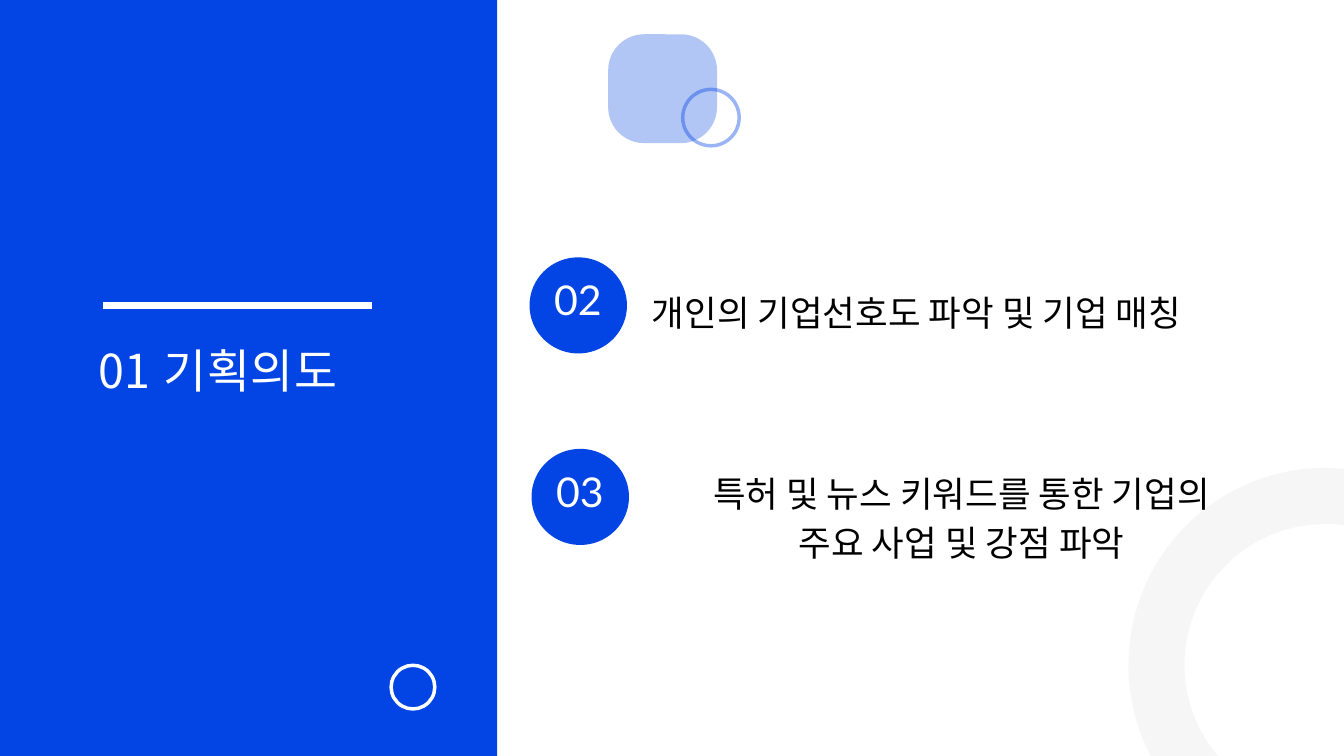
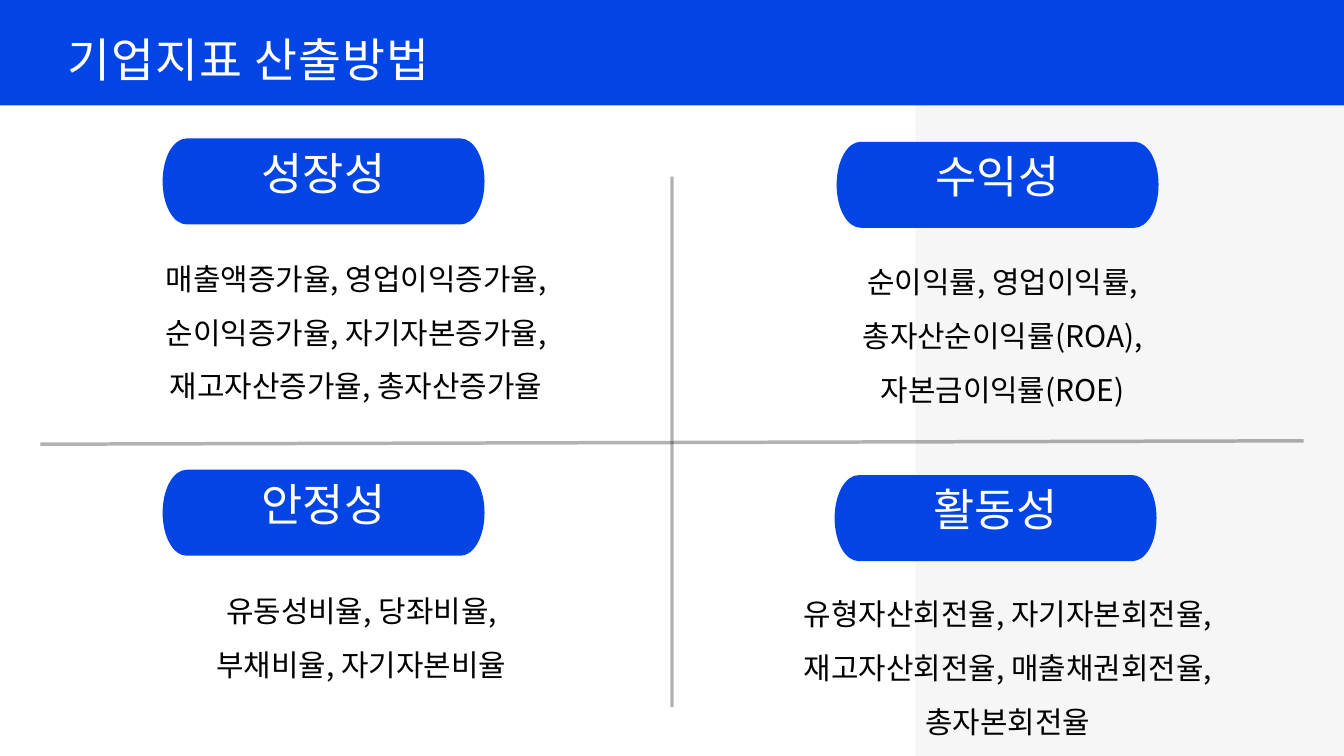
from lxml import etree
from pptx import Presentation
from pptx.dml.color import RGBColor
from pptx.enum.shapes import MSO_CONNECTOR, MSO_SHAPE
from pptx.enum.text import MSO_ANCHOR, PP_ALIGN
from pptx.oxml.ns import qn
from pptx.util import Pt

PX = 9144
WIDE, HIGH = 2000, 1125
BLUE, WHITE, BLACK, GREY = "0345E4", "FFFFFF", "000000", "F6F6F6"
SANS, LATO = "Noto Sans CJK KR", "Lato"
RECT, OVAL, ROUND = MSO_SHAPE.RECTANGLE, MSO_SHAPE.OVAL, MSO_SHAPE.ROUNDED_RECTANGLE
STRAIGHT = MSO_CONNECTOR.STRAIGHT
LEFT, CENTER = PP_ALIGN.LEFT, PP_ALIGN.CENTER
TOP, MIDDLE = MSO_ANCHOR.TOP, MSO_ANCHOR.MIDDLE

GOALS = [
    ("02", 788, 383, (970, 423, 1084, 66), LEFT, ["개인의 기업선호도 파악 및 기업 매칭"]),
    ("03", 791, 668, (889, 693, 1084, 139), CENTER,
     ["특허 및 뉴스 키워드를 통한 기업의", "주요 사업 및 강점 파악"]),
]
RATIOS = [
    ("성장성", (242, 206), (113, 361, 834, 242),
     ["매출액증가율, 영업이익증가율,", "순이익증가율, 자기자본증가율,", "재고자산증가율, 총자산증가율"]),
    ("수익성", (1245, 211), (1075, 366, 834, 242),
     ["순이익률, 영업이익률,", "총자산순이익률(ROA),", "자본금이익률(ROE)"]),
    ("안정성", (242, 699), (121, 855, 834, 151),
     ["유동성비율, 당좌비율,", "부채비율, 자기자본비율"]),
    ("활동성", (1242, 707), (1083, 860, 834, 242),
     ["유형자산회전율, 자기자본회전율,", "재고자산회전율, 매출채권회전율,", "총자본회전율"]),
]


def emu(*sizes):
    """Turn px lengths into EMU."""
    return [size * PX for size in sizes]


def tint(fill, color, alpha=100):
    """Make a fill solid, with an opacity in percent."""
    fill.solid()
    fill.fore_color.rgb = RGBColor.from_string(color)
    if alpha < 100:
        paint = fill._xPr.find(qn("a:solidFill"))[0]
        etree.SubElement(paint, qn("a:alpha")).set("val", str(alpha * 1000))


def solid(shape, color, alpha=100):
    """Give a shape a plain fill without line or shadow."""
    shape.shadow.inherit = False
    tint(shape.fill, color, alpha)
    shape.line.fill.background()


def block(slide, kind, box, color, alpha=100):
    """Draw a filled preset shape."""
    shape = slide.shapes.add_shape(kind, *emu(*box))
    solid(shape, color, alpha)
    return shape


def ring(slide, left, top, size, color, width, alpha=100):
    """Draw an open circle."""
    shape = slide.shapes.add_shape(OVAL, *emu(left, top, size, size))
    shape.shadow.inherit = False
    shape.fill.background()
    shape.line.width = Pt(width)
    tint(shape.line.fill, color, alpha)


def rule(slide, ends, color, width, alpha=100):
    """Draw a straight line."""
    line = slide.shapes.add_connector(STRAIGHT, *emu(*ends))
    line.line.width = Pt(width)
    tint(line.line.fill, color, alpha)
    etree.SubElement(line._element.spPr, qn("a:effectLst"))


def text(slide, box, lines, size, color, lead, align=LEFT, anchor=TOP, face=SANS, gap=0):
    """Write lines of text in one style."""
    frame = slide.shapes.add_textbox(*emu(*box)).text_frame
    frame.word_wrap = True
    frame.vertical_anchor = anchor
    frame.margin_left = frame.margin_right = frame.margin_top = frame.margin_bottom = 0
    frame.text = "\n".join(lines)
    for para in frame.paragraphs:
        para.alignment = align
        para.line_spacing = lead
        font = para.font
        font.name = face
        font.size = Pt(size)
        font.color.rgb = RGBColor.from_string(color)
        props = para._p.pPr.find(qn("a:defRPr"))
        etree.SubElement(props, qn("a:ea")).set("typeface", face)
        if gap:
            props.set("spc", str(gap * 100))


def title(slide, box, words):
    """Write a slide title."""
    text(slide, box, [words], 50, WHITE, Pt(70), gap=1)


def badge(slide, left, top, number):
    """Draw a numbered disc."""
    block(slide, OVAL, (left, top, 145, 143), BLUE)
    text(slide, (left + 13, top + 20, 118, 121), [number], 44, WHITE,
         Pt(26.6), CENTER, MIDDLE, LATO)


def bend(shape, starts):
    """Turn each three line steps from the given places into one curve."""
    steps = list(shape._element.iter(qn("a:lnTo")))
    for start in starts:
        curve = etree.Element(qn("a:cubicBezTo"))
        steps[start].addprevious(curve)
        for step in steps[start:start + 3]:
            curve.append(step[0])
            step.getparent().remove(step)


def pill(slide, left, top, label):
    """Draw a label with half-oval ends."""
    wide, high = 479, 128
    right, low, mid = left + wide, top + high, top + high // 2
    near, far = left + 36, right - 36
    pen = slide.shapes.build_freeform(far, top, scale=PX)
    pen.add_line_segments([
        (right - 16, top), (right, top + 28), (right, mid),
        (right, low - 28), (right - 16, low), (far, low),
        (near, low),
        (left + 16, low), (left, low - 28), (left, mid),
        (left, top + 28), (left + 16, top), (near, top),
    ], close=True)
    shape = pen.convert_to_shape()
    bend(shape, (0, 3, 7, 10))
    solid(shape, BLUE)
    text(slide, (left, top - 5, wide, 142), [label], 48, WHITE, Pt(35), CENTER, MIDDLE)


def intent(slide):
    """Build the slide on the aims of the plan."""
    block(slide, RECT, (0, 0, 740, HIGH), BLUE)
    rule(slide, (154, 454, 554, 454), WHITE, 7.5)
    title(slide, (146, 495, 500, 88), "01 기획의도")
    ring(slide, 1721, 738, 503, GREY, 60)
    block(slide, ROUND, (905, 51, 162, 162), BLUE, 30).adjustments[0] = 0.33
    ring(slide, 1016, 133, 84, BLUE, 3.75, 40)
    ring(slide, 582, 990, 65, WHITE, 3.75)
    for number, left, top, box, align, lines in GOALS:
        badge(slide, left, top, number)
        text(slide, box, lines, 38, BLACK, Pt(52.5), align)


def ratios(slide):
    """Build the slide on four groups of ratios."""
    block(slide, RECT, (1362, 0, 638, HIGH), GREY)
    for ends in ((60, 661, 1940, 656), (1000, 263, 1000, 1052)):
        rule(slide, ends, BLACK, 3.75, 30)
    block(slide, RECT, (-25, -12, 2050, 169), BLUE)
    title(slide, (101, 32, 1178, 88), "기업지표 산출방법")
    for label, spot, box, lines in RATIOS:
        pill(slide, *spot, label)
        text(slide, box, lines, 32, BLACK, 1.5, CENTER)


def main():
    """Build and save the deck."""
    deck = Presentation()
    deck.slide_width, deck.slide_height = emu(WIDE, HIGH)
    for build in (intent, ratios):
        build(deck.slides.add_slide(deck.slide_layouts[6]))
    deck.save("out.pptx")


if __name__ == "__main__":
    main()
